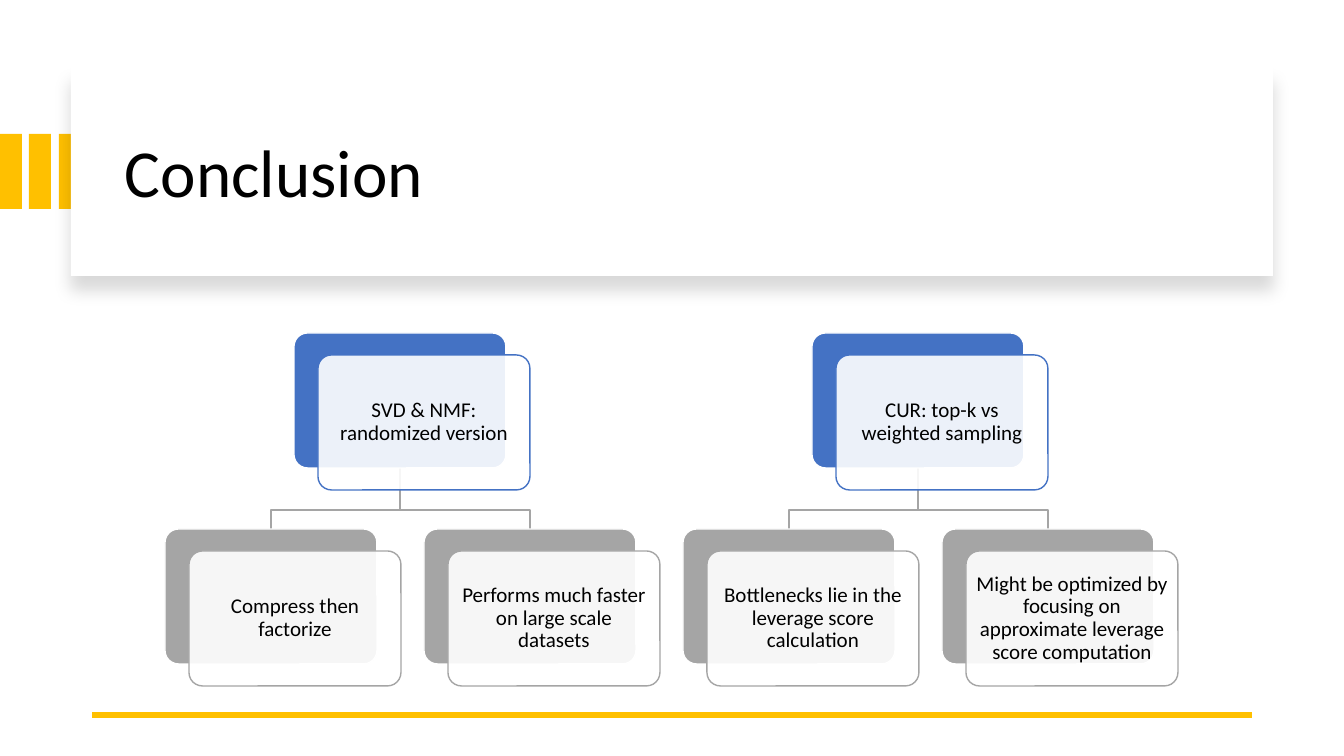
from lxml import etree
from pptx import Presentation, util as u
from pptx.dml.color import RGBColor
from pptx.enum import shapes, text
from pptx.oxml import ns

PX = 914400 / 100.8
WHITE = RGBColor(0xFF, 0xFF, 0xFF)
BLACK = RGBColor(0, 0, 0)
GOLD = RGBColor(0xFF, 0xC0, 0x00)
BLUE = RGBColor(0x44, 0x72, 0xC4)
GRAY = RGBColor(0xA5, 0xA5, 0xA5)

CARD_WIDTH, CARD_HEIGHT = 212, 135
FIRST_LEFT, STEP = 165, 259
PARENT_TOP, CHILD_TOP, ELBOW_Y = 333, 529, 510
BRANCHES = [
    ("SVD & NMF: randomized version",
     ["Compress then factorize", "Performs much faster on large scale datasets"]),
    ("CUR: top-k vs weighted sampling",
     ["Bottlenecks lie in the leverage score calculation",
      "Might be optimized by focusing on approximate leverage score computation"]),
]


def px(*lengths):
    """Turn pixel lengths into EMU."""
    return [u.Emu(round(length * PX)) for length in lengths]


def set_all(target, values):
    """Set each attribute named in a dict."""
    for name, value in values.items():
        setattr(target, name, value)


def add_child(parent, tag, **attributes):
    """Append a drawing element to a parent element."""
    return etree.SubElement(parent, ns.qn(tag), attributes)


def add_box(slide, kind, box, fill, outline=None):
    """Add a filled preset shape with an optional thin outline."""
    shape = slide.shapes.add_shape(kind, *px(*box))
    shape.shadow.inherit = False
    shape.fill.solid()
    shape.fill.fore_color.rgb = fill
    if outline is None:
        shape.line.fill.background()
    else:
        shape.line.color.rgb = outline
        shape.line.width = u.Pt(1)
    return shape


def write(shape, words, size, align, inset):
    """Put one vertically centred paragraph in a shape."""
    frame = shape.text_frame
    margin, = px(inset)
    set_all(frame, {"word_wrap": True, "vertical_anchor": text.MSO_ANCHOR.MIDDLE,
                    "margin_left": margin, "margin_right": margin,
                    "margin_top": margin, "margin_bottom": margin})
    paragraph = frame.paragraphs[0]
    set_all(paragraph, {"alignment": align, "line_spacing": 0.9})
    run = paragraph.add_run()
    run.text = words
    set_all(run.font, {"name": "Calibri", "size": u.Pt(size)})
    run.font.color.rgb = BLACK


def add_header(slide):
    """Add the gold stripes and the shadowed title panel."""
    rectangle = shapes.MSO_SHAPE.RECTANGLE
    for index in range(3):
        add_box(slide, rectangle, (index * 59 // 2, 134, 22, 75), GOLD)
    panel = add_box(slide, rectangle, (71, 67, 1202, 209), WHITE)
    effects = panel._element.spPr.find(ns.qn("a:effectLst"))
    shadow = add_child(effects, "a:outerShdw", blurRad=str(u.Pt(11)),
                       dist=str(u.Pt(10)), dir="5400000", algn="t", rotWithShape="0")
    add_child(add_child(shadow, "a:srgbClr", val=str(BLACK)), "a:alpha", val="15000")
    title = slide.shapes.add_textbox(*px(115, 90, 1123, 171))
    write(title, "Conclusion", 48, text.PP_ALIGN.LEFT, 10)


def add_rule(slide):
    """Add the gold line at the foot of the slide."""
    rule = slide.shapes.add_connector(shapes.MSO_CONNECTOR.STRAIGHT, *px(1252, 715, 92, 715))
    rule.line.color.rgb = GOLD
    rule.line.width = u.Pt(4.5)
    add_child(rule._element.spPr, "a:effectLst")


def add_branch_line(slide, parent_left, child_left):
    """Add the elbow from a parent card to a child card."""
    start, end = (left + CARD_WIDTH // 2 for left in (parent_left, child_left))
    builder = slide.shapes.build_freeform(*px(start, PARENT_TOP + CARD_HEIGHT))
    points = [(start, ELBOW_Y), (end, ELBOW_Y), (end, CHILD_TOP)]
    builder.add_line_segments([px(*point) for point in points], close=False)
    elbow = builder.convert_to_shape()
    elbow.shadow.inherit = False
    elbow.fill.background()
    elbow.line.color.rgb = GRAY
    elbow.line.width = u.Pt(1)


def add_card(slide, left, top, color, words):
    """Add a coloured card with a translucent text card over it."""
    rounded = shapes.MSO_SHAPE.ROUNDED_RECTANGLE
    back = add_box(slide, rounded, (left, top, CARD_WIDTH, CARD_HEIGHT), color, WHITE)
    front = add_box(slide, rounded, (left + 24, top + 22, CARD_WIDTH, CARD_HEIGHT), WHITE, color)
    for card in (back, front):
        card.adjustments[0] = 0.1
    fill_color = front._element.spPr.find(ns.qn("a:solidFill"))[0]
    add_child(fill_color, "a:alpha", val="90000")
    write(front, words, 15, text.PP_ALIGN.CENTER, 6)


def add_branch(slide, index, heading, details):
    """Add a parent card, its children and their lines."""
    lefts = [FIRST_LEFT + STEP * (2 * index + column) for column in range(2)]
    parent_left = sum(lefts) // 2
    for left in lefts:
        add_branch_line(slide, parent_left, left)
    add_card(slide, parent_left, PARENT_TOP, BLUE, heading)
    for left, detail in zip(lefts, details):
        add_card(slide, left, CHILD_TOP, GRAY, detail)


def main():
    """Build and save the conclusion slide."""
    presentation = Presentation()
    width, height = px(1344, 756)
    set_all(presentation, {"slide_width": width, "slide_height": height})
    slide = presentation.slides.add_slide(presentation.slide_layouts[6])
    add_header(slide)
    add_rule(slide)
    for index, (heading, details) in enumerate(BRANCHES):
        add_branch(slide, index, heading, details)
    presentation.save("out.pptx")


if __name__ == "__main__":
    main()
